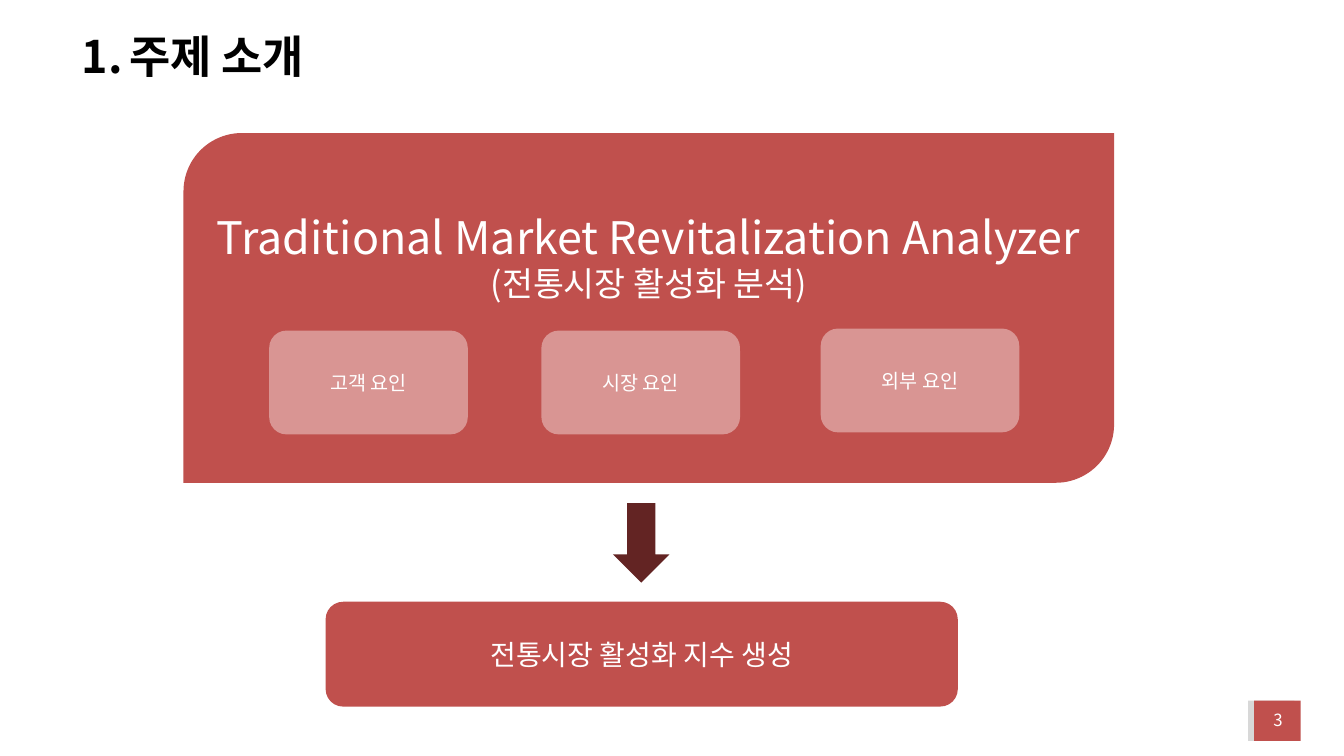
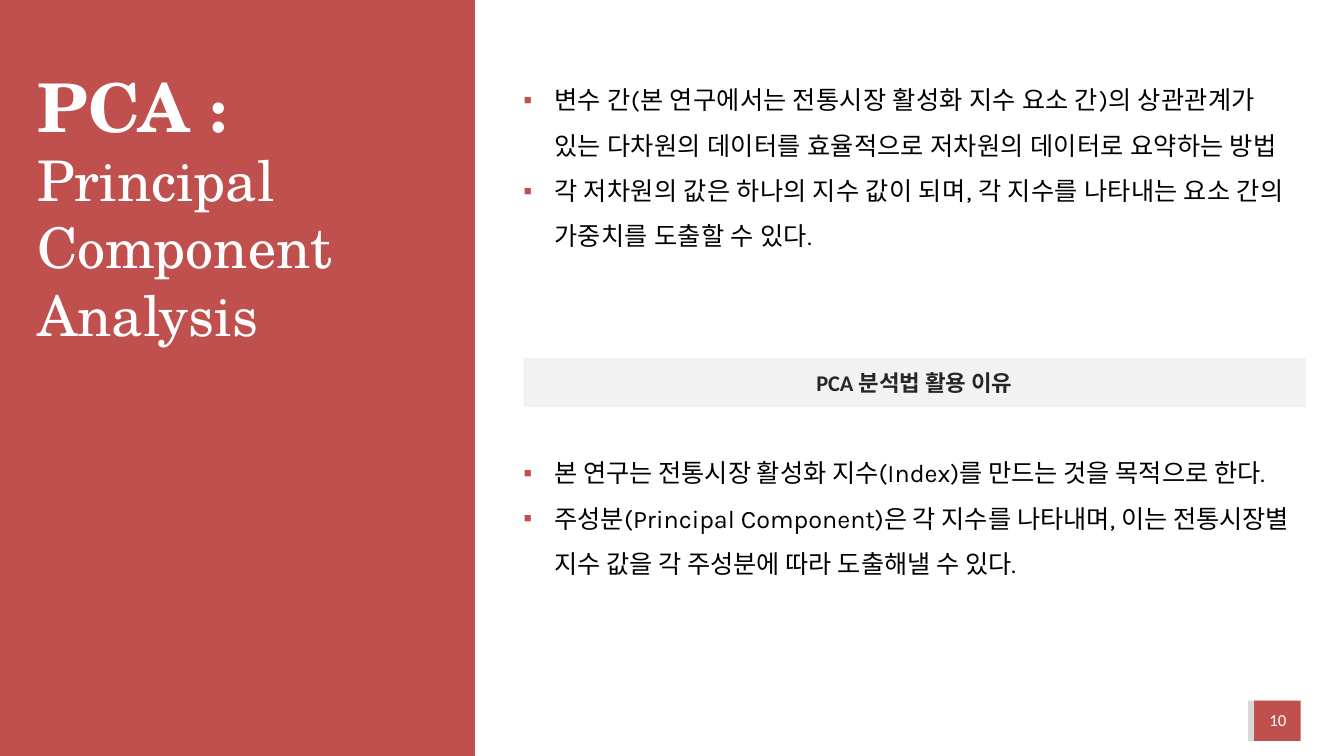
from dataclasses import dataclass

from lxml import etree
from pptx import Presentation
from pptx import util as u
from pptx.dml.color import RGBColor
from pptx.enum import shapes, text
from pptx.oxml import ns

EMU_PER_PX = 9144  # 100 px to the inch
COLOURS = {
    "red": "C0504D", "dark_red": "632423", "pink": "D99593",
    "shade": "D8D8D8", "band": "F2F2F2",
    "ink": "262626", "black": "000000", "white": "FFFFFF",
}
KOREAN = "Noto Sans CJK KR"
SERIF = "TeX Gyre Schola"
SHAPE = shapes.MSO_SHAPE
MIDDLE = text.MSO_ANCHOR.MIDDLE


@dataclass(frozen=True)
class Box:
    left: int
    top: int
    width: int
    height: int


@dataclass(frozen=True)
class Style:
    size: int
    colour: str = "white"
    font: str = KOREAN
    bold: bool = False
    tracking: int = 0  # hundredths of a point


@dataclass(frozen=True)
class Panel:
    box: Box
    fill: str
    kind: SHAPE = SHAPE.RECTANGLE
    label: str = ""
    style: Style = Style(14)


def px(length: int) -> u.Emu:
    return u.Emu(length * EMU_PER_PX)


def place(box: Box) -> tuple:
    return px(box.left), px(box.top), px(box.width), px(box.height)


def format_run(run, style: Style) -> None:
    font = run.font
    font.size, font.bold, font.name = u.Pt(style.size), style.bold, style.font
    font.color.rgb = RGBColor.from_string(COLOURS[style.colour])
    properties = run._r.get_or_add_rPr()
    etree.SubElement(properties, ns.qn("a:ea")).set("typeface", KOREAN)
    if style.tracking:
        properties.set("spc", str(style.tracking))


def format_paragraph(paragraph, style: Style, align=text.PP_ALIGN.CENTER) -> None:
    paragraph.alignment = align
    for run in paragraph.runs:
        format_run(run, style)


def add_bullet(paragraph, colour: str, font: str, margin: int, hanging: int,
               tag: str, **attributes: str) -> None:
    properties = paragraph._p.get_or_add_pPr()
    properties.set("marL", str(px(margin)))
    properties.set("indent", str(-px(hanging)))
    bullet_colour = etree.SubElement(properties, ns.qn("a:buClr"))
    etree.SubElement(bullet_colour, ns.qn("a:srgbClr")).set("val", COLOURS[colour])
    etree.SubElement(properties, ns.qn("a:buFont")).set("typeface", font)
    bullet = etree.SubElement(properties, ns.qn(tag))
    for name, value in attributes.items():
        bullet.set(name, value)


def add_panel(slide, panel: Panel):
    shape = slide.shapes.add_shape(panel.kind, *place(panel.box))
    shape.shadow.inherit = False
    shape.fill.solid()
    shape.fill.fore_color.rgb = RGBColor.from_string(COLOURS[panel.fill])
    shape.line.fill.background()
    if panel.label:
        frame = shape.text_frame
        frame.word_wrap, frame.vertical_anchor = True, MIDDLE
        frame.text = panel.label
        format_paragraph(frame.paragraphs[0], panel.style)
    return shape


def add_text_frame(slide, box: Box):
    frame = slide.shapes.add_textbox(*place(box)).text_frame
    frame.word_wrap = True
    frame.margin_left = frame.margin_top = frame.margin_right = frame.margin_bottom = 0
    return frame


def add_bullet_list(slide, box: Box, items: tuple[str, ...], tracking: int = 0) -> None:
    frame = add_text_frame(slide, box)
    frame.text = "\n".join(items)
    style = Style(18, "black", "Karla", tracking=tracking)
    for paragraph in frame.paragraphs:
        format_paragraph(paragraph, style, text.PP_ALIGN.LEFT)
        paragraph.line_spacing = 1.5
        add_bullet(paragraph, "red", "Arial", 31, 31, "a:buChar", char="▪")


def add_page(presentation, number: str, number_font: str):
    """New title-only slide with the page-number badge."""
    slide = presentation.slides.add_slide(presentation.slide_layouts[5])
    for left, fill in ((1238, "shade"), (1244, "red")):
        add_panel(slide, Panel(Box(left, 695, 46, 40), fill))
    frame = add_text_frame(slide, Box(1252, 701, 31, 27))
    frame.vertical_anchor = MIDDLE
    frame.text = number
    format_paragraph(frame.paragraphs[0], Style(12, font=number_font))
    return slide


def place_title(slide, box: Box, content: str):
    """Move the title in front of the panels and return its paragraph."""
    title = slide.shapes.title
    title.left, title.top, title.width, title.height = place(box)
    title.element.getparent().append(title.element)
    frame = title.text_frame
    frame.auto_size = text.MSO_AUTO_SIZE.NONE
    frame.word_wrap, frame.vertical_anchor = True, MIDDLE
    frame.text = content
    paragraph = frame.paragraphs[0]
    paragraph.alignment = text.PP_ALIGN.LEFT
    return paragraph


def build_topic_slide(presentation) -> None:
    slide = add_page(presentation, "3", KOREAN)

    # Title with automatic number
    title = place_title(slide, Box(68, 15, 1247, 87), "주제 소개")
    format_paragraph(title, Style(32, "black", bold=True), text.PP_ALIGN.LEFT)
    title.line_spacing = 0.9
    add_bullet(title, "black", KOREAN, 50, 47, "a:buAutoNum", type="arabicPeriod")

    # Analyzer panel, its text held above the factor cards
    analyzer = add_panel(slide, Panel(
        Box(182, 132, 923, 347), "red", SHAPE.ROUND_2_DIAG_RECTANGLE,
        "Traditional Market Revitalization Analyzer\n(전통시장 활성화 분석)", Style(32)))
    analyzer.text_frame.margin_bottom = px(107)
    format_paragraph(analyzer.text_frame.paragraphs[1], Style(24))

    # Factor cards
    for left, top, label in ((267, 328, "고객 요인"), (537, 328, "시장 요인"),
                             (814, 326, "외부 요인")):
        add_panel(slide, Panel(Box(left, top, 197, 103), "pink",
                               SHAPE.ROUNDED_RECTANGLE, label))

    # Resulting index
    add_panel(slide, Panel(Box(323, 597, 627, 104), "red", SHAPE.ROUNDED_RECTANGLE,
                           "전통시장 활성화 지수 생성", Style(20)))
    add_panel(slide, Panel(Box(608, 499, 56, 79), "dark_red", SHAPE.DOWN_ARROW))


def build_pca_slide(presentation) -> None:
    slide = add_page(presentation, "10", "Calibri")

    # Side band and title
    add_panel(slide, Panel(Box(0, 0, 471, 750), "red"))
    title = place_title(slide, Box(27, 24, 399, 361), "PCA ")
    title.add_run().text = ":"
    title.add_line_break()
    title.add_run().text = "Principal Component Analysis"
    for run, size, bold in zip(title.runs, (48, 44, 40), (True, True, False)):
        format_run(run, Style(size, font=SERIF, bold=bold))

    # Definition
    add_bullet_list(slide, Box(519, 69, 776, 227), (
        "변수 간(본 연구에서는 전통시장 활성화 지수 요소 간)의 상관관계가 있는 "
        "다차원의 데이터를 효율적으로 저차원의 데이터로 요약하는 방법",
        "각 저차원의 값은 하나의 지수 값이 되며, 각 지수를 나타내는 요소 간의 "
        "가중치를 도출할 수 있다.",
    ), tracking=23)

    # Reasons for use
    add_panel(slide, Panel(Box(519, 355, 776, 49), "band", label="PCA 분석법 활용 이유",
                           style=Style(16, "ink", "Calibri", True)))
    add_bullet_list(slide, Box(519, 439, 776, 182), (
        "본 연구는 전통시장 활성화 지수(Index)를 만드는 것을 목적으로 한다.",
        "주성분(Principal Component)은 각 지수를 나타내며, 이는 전통시장별 지수 값을 "
        "각 주성분에 따라 도출해낼 수 있다.",
    ))


def main() -> None:
    presentation = Presentation()
    presentation.slide_width, presentation.slide_height = px(1333), px(750)
    build_topic_slide(presentation)
    build_pca_slide(presentation)
    presentation.save("out.pptx")


if __name__ == "__main__":
    main()
